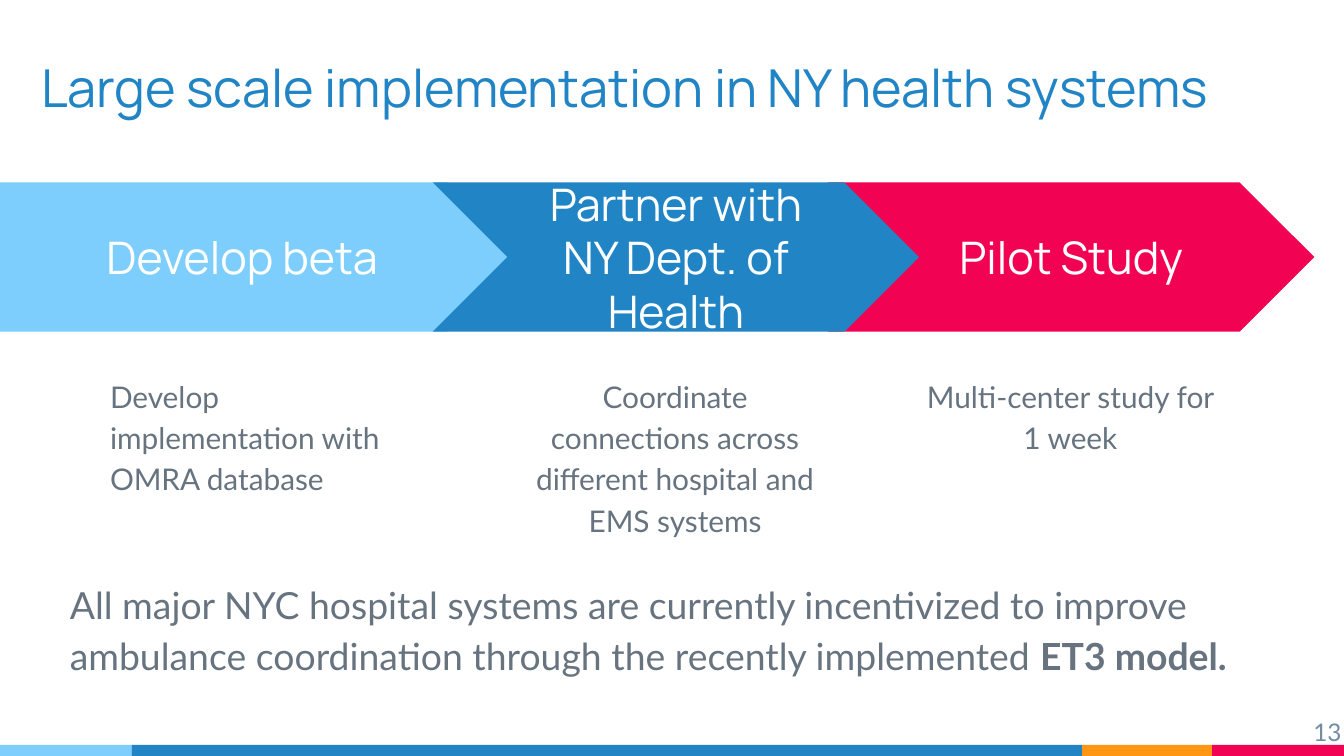
"""Build the implementation roadmap slide with three process arrows."""
from pptx import Presentation
from pptx import util as u
from pptx.dml.color import RGBColor
from pptx.enum import shapes, text

LIGHT_BLUE, BLUE, ORANGE, RED = "7ECEFD", "2185C5", "FF9715", "F20253"
WHITE, GRAY, SLATE = "FFFFFF", "677480", "728CA3"
LEFT, CENTER, RIGHT = text.PP_ALIGN.LEFT, text.PP_ALIGN.CENTER, text.PP_ALIGN.RIGHT
TOP, MIDDLE, BOTTOM = text.MSO_ANCHOR.TOP, text.MSO_ANCHOR.MIDDLE, text.MSO_ANCHOR.BOTTOM


def write(shape, runs, font, size, color, align=LEFT, anchor=TOP, spacing=1.0):
    """Fill a shape with one paragraph of (wording, bold) runs."""
    frame = shape.text_frame
    frame.word_wrap = True
    frame.auto_size = text.MSO_AUTO_SIZE.NONE
    frame.vertical_anchor = anchor
    frame.margin_left = frame.margin_right = u.Cm(0.25)
    frame.margin_top = frame.margin_bottom = u.Cm(0.25)
    paragraph = frame.paragraphs[0]
    paragraph.alignment = align
    paragraph.line_spacing = spacing
    for wording, bold in runs:
        run = paragraph.add_run()
        run.text = wording
        run.font.name = font
        run.font.size = u.Pt(size)
        run.font.bold = bold
        run.font.color.rgb = RGBColor.from_string(color)
    return paragraph


def add_block(slide, kind, left, top, width, height, color):
    """Add a flat, borderless preset shape."""
    shape = slide.shapes.add_shape(kind, u.Cm(left), u.Cm(top), u.Cm(width), u.Cm(height))
    shape.shadow.inherit = False
    shape.fill.solid()
    shape.fill.fore_color.rgb = RGBColor.from_string(color)
    shape.line.fill.background()
    return shape


presentation = Presentation()
presentation.slide_width, presentation.slide_height = u.Cm(25.4), u.Cm(14.29)
slide = presentation.slides.add_slide(presentation.slide_layouts[5])

bar_edges = [0, 2.49, 20.45, 22.91, 25.4]
for left, right, color in zip(bar_edges, bar_edges[1:], [LIGHT_BLUE, BLUE, ORANGE, RED]):
    add_block(slide, shapes.MSO_SHAPE.RECTANGLE, left, 14.08, right - left, 0.21, color)

title = slide.shapes.title
title.left, title.top, title.width, title.height = u.Cm(0.53), u.Cm(0.1), u.Cm(23.42), u.Cm(2.39)
write(title, [("Large scale implementation in NY health systems", False)],
      "Manrope", 28, BLUE, anchor=BOTTOM)

summary = slide.shapes.add_textbox(u.Cm(1.07), u.Cm(10.62), u.Cm(22.83), u.Cm(3.2))
paragraph = write(summary, [
    ("All major NYC hospital systems are currently incentivized to improve ambulance "
     "coordination through the recently implemented ", False),
    ("ET3 model.", True)], "Lato", 20, GRAY, spacing=1.15)
paragraph.space_before, paragraph.space_after = u.Pt(6), u.Pt(10)

chevron, pentagon = shapes.MSO_SHAPE.CHEVRON, shapes.MSO_SHAPE.PENTAGON
steps = [
    (chevron, 15.65, 9.19, RED, "Pilot Study", 17.12, CENTER,
     "Multi-center study for 1 week"),
    (pentagon, 0, 9.86, LIGHT_BLUE, "Develop beta", 1.83, LEFT,
     "Develop implementation with OMRA database"),
    (chevron, 8.18, 9.19, BLUE, "Partner with NY Dept. of Health", 9.65, CENTER,
     "Coordinate connections across different hospital and EMS systems"),
]
for kind, left, width, color, heading, detail_left, align, detail in steps:
    arrow = add_block(slide, kind, left, 3.45, width, 2.82, color)
    arrow.adjustments[0] = 0.5
    write(arrow, [(heading, False)], "Manrope", 24, WHITE, CENTER, MIDDLE)
    detail_box = slide.shapes.add_textbox(u.Cm(detail_left), u.Cm(6.81), u.Cm(6.22), u.Cm(6))
    write(detail_box, [(detail, False)], "Lato", 16, GRAY, align, spacing=1.15)

page_number = slide.shapes.add_textbox(u.Cm(24.08), u.Cm(13.31), u.Cm(1.52), u.Cm(0.86))
write(page_number, [("13", False)], "Lato", 13, SLATE, RIGHT)

presentation.save("out.pptx")
